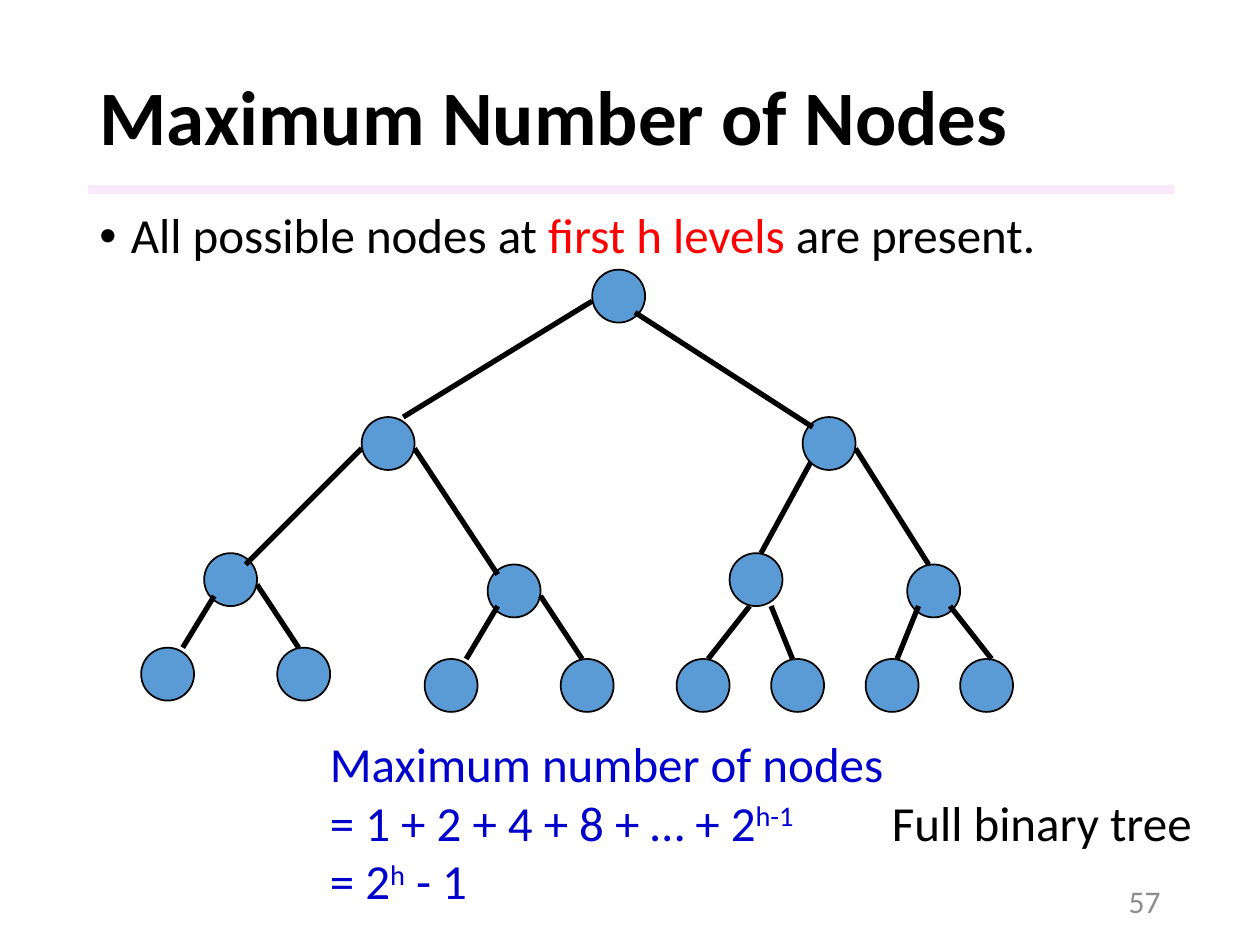
"""Build the slide on the maximum number of nodes in a binary tree."""
from lxml import etree
from pptx import Presentation
from pptx import util as u
from pptx.dml.color import RGBColor
from pptx.enum import shapes, text
from pptx.oxml import ns

BLACK = RGBColor(0, 0, 0)
RED = RGBColor(0xFF, 0, 0)
NAVY = RGBColor(0, 0, 0xCC)
GREY = RGBColor(0x8C, 0x8C, 0x8C)
NODE = RGBColor(0x5B, 0x9B, 0xD5)
RULE = RGBColor(0xF3, 0xD2, 0xF4)
SIZE = 0.42

TIERS = [
    ([(1.62, 4.39), (3.87, 4.48), (5.79, 4.39), (7.2, 4.48)],
     [(6.45, 3.64, 6.04, 4.39), (6.79, 3.56, 7.37, 4.48),
      (2.87, 3.56, 1.95, 4.48), (3.29, 3.56, 3.95, 4.56)]),
    ([(4.7, 2.14), (6.37, 3.31), (2.87, 3.31)],
     [(4.7, 2.39, 3.2, 3.31), (5.04, 2.48, 6.45, 3.39)]),
    ([(1.12, 5.14), (2.2, 5.14), (3.37, 5.23), (4.45, 5.23),
      (5.37, 5.23), (6.12, 5.23), (6.87, 5.23), (7.62, 5.23)],
     [(1.7, 4.73, 1.45, 5.14), (2.04, 4.64, 2.37, 5.14),
      (3.95, 4.81, 3.7, 5.23), (4.29, 4.73, 4.62, 5.23),
      (5.95, 4.81, 5.62, 5.23), (6.12, 4.81, 6.29, 5.23),
      (7.29, 4.81, 7.12, 5.23), (7.54, 4.81, 7.87, 5.23)]),
]


def place(box):
    return [u.Inches(v) for v in box]


def style(font, size, color, bold=False):
    font.name = "Calibri"
    font.size = u.Pt(size)
    font.bold = bold
    font.color.rgb = color


def add_title(slide, words):
    title = slide.shapes.title
    title.left, title.top, title.width, title.height = place((0.69, 0.4, 8.62, 1.11))
    frame = title.text_frame
    frame.text = words
    frame.vertical_anchor = text.MSO_ANCHOR.MIDDLE
    para = frame.paragraphs[0]
    para.alignment = text.PP_ALIGN.LEFT
    para.line_spacing = 0.9
    style(para.runs[0].font, 44, BLACK, True)


def add_rule(slide):
    bar = slide.shapes.add_shape(shapes.MSO_SHAPE.RECTANGLE, *place((0.7, 1.47, 8.62, 0.07)))
    bar.shadow.inherit = False
    bar.line.fill.background()
    bar.fill.solid()
    bar.fill.fore_color.rgb = RULE
    tint = bar.fill._xPr.find(".//" + ns.qn("a:srgbClr"))
    etree.SubElement(tint, ns.qn("a:alpha"), val="50000")


def add_text(slide, box, lines, size=28, color=BLACK, wrap=True):
    frame = slide.shapes.add_textbox(*place(box)).text_frame
    frame.word_wrap = wrap
    for i, parts in enumerate(lines):
        para = frame.paragraphs[0] if i == 0 else frame.add_paragraph()
        for part in parts:
            run = para.add_run()
            run.text = part
            style(run.font, size, color)
    return frame


def add_bullet(para):
    props = para._p.get_or_add_pPr()
    props.set("marL", str(u.Inches(0.25)))
    props.set("indent", str(u.Inches(-0.25)))
    etree.SubElement(props, ns.qn("a:buFont"), typeface="Arial")
    etree.SubElement(props, ns.qn("a:buChar"), char="•")
    para.line_spacing = 0.9


def raise_run(run):
    run.font._element.set("baseline", "30000")


def add_node(slide, left, top):
    node = slide.shapes.add_shape(shapes.MSO_SHAPE.OVAL, *place((left, top, SIZE, SIZE)))
    node.shadow.inherit = False
    node.fill.solid()
    node.fill.fore_color.rgb = NODE
    node.line.color.rgb = BLACK
    node.line.width = u.Pt(1)


def add_edge(slide, ends):
    edge = slide.shapes.add_connector(shapes.MSO_CONNECTOR.STRAIGHT, *place(ends))
    edge.line.color.rgb = BLACK
    edge.line.width = u.Pt(3)
    etree.SubElement(edge._element.spPr, ns.qn("a:effectLst"))


def main():
    deck = Presentation()
    deck.slide_width, deck.slide_height = place((10, 7.5))
    slide = deck.slides.add_slide(deck.slide_layouts[5])
    add_rule(slide)
    add_title(slide, "Maximum Number of Nodes")

    body = add_text(slide, (0.69, 1.63, 8.62, 0.82),
                    [["All possible nodes at ", "first h levels ", "are present."]])
    add_bullet(body.paragraphs[0])
    body.paragraphs[0].runs[1].font.color.rgb = RED

    page = add_text(slide, (7.06, 6.95, 2.25, 0.4), [["57"]], 18, GREY)
    page.vertical_anchor = text.MSO_ANCHOR.MIDDLE
    page.paragraphs[0].alignment = text.PP_ALIGN.RIGHT

    for nodes, edges in TIERS:
        for left, top in nodes:
            add_node(slide, left, top)
        for ends in edges:
            add_edge(slide, ends)

    sums = add_text(slide, (2.52, 5.77, 4.83, 1.51),
                    [["Maximum number of nodes"],
                     ["= 1 + 2 + 4 + 8 + … + 2", "h-1"],
                     ["= 2", "h", " - 1"]], color=NAVY)
    for para in sums.paragraphs[1:]:
        raise_run(para.runs[1])
    add_text(slide, (6.98, 6.24, 2.61, 0.57), [["Full binary tree"]], wrap=False)
    deck.save("out.pptx")


if __name__ == "__main__":
    main()
